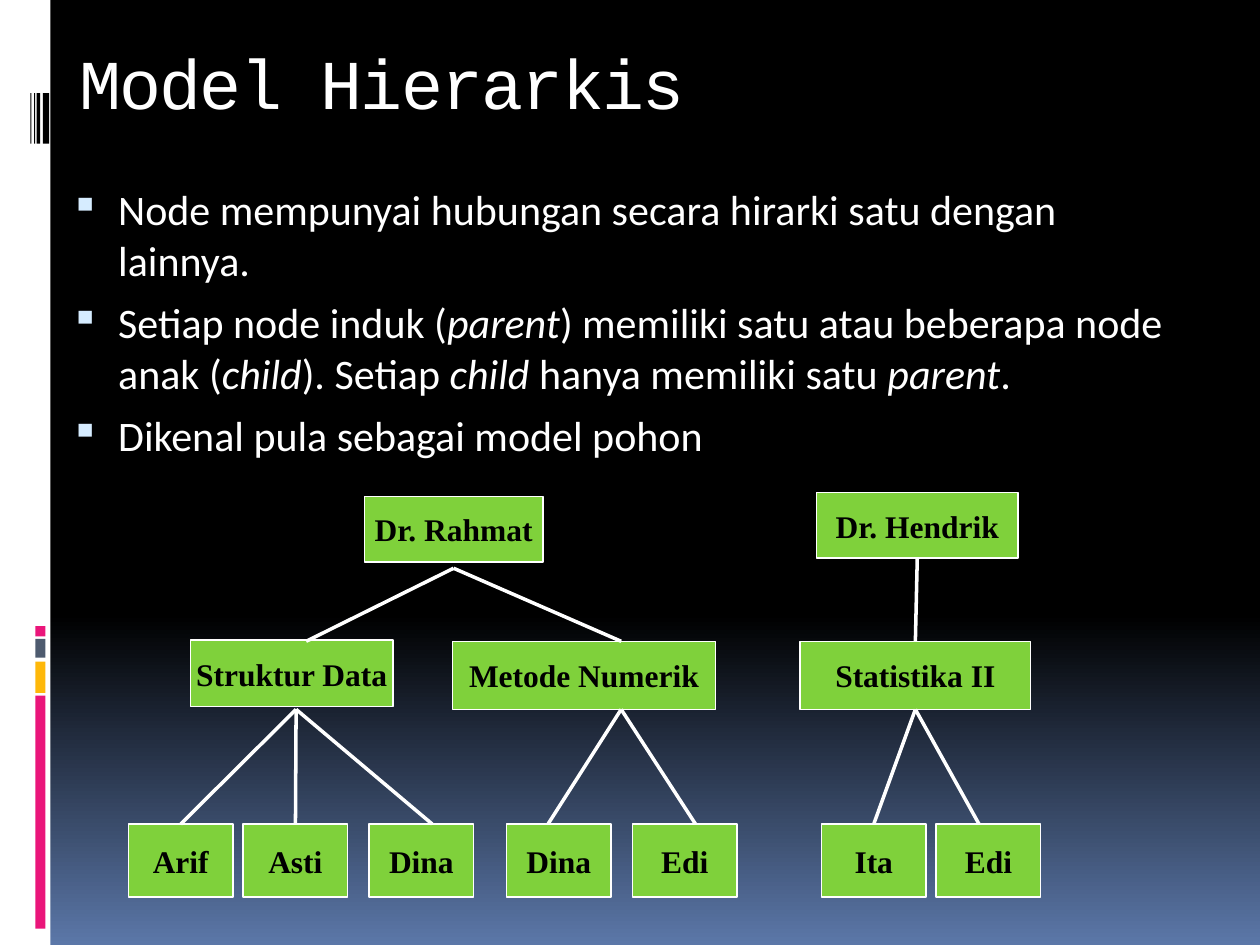
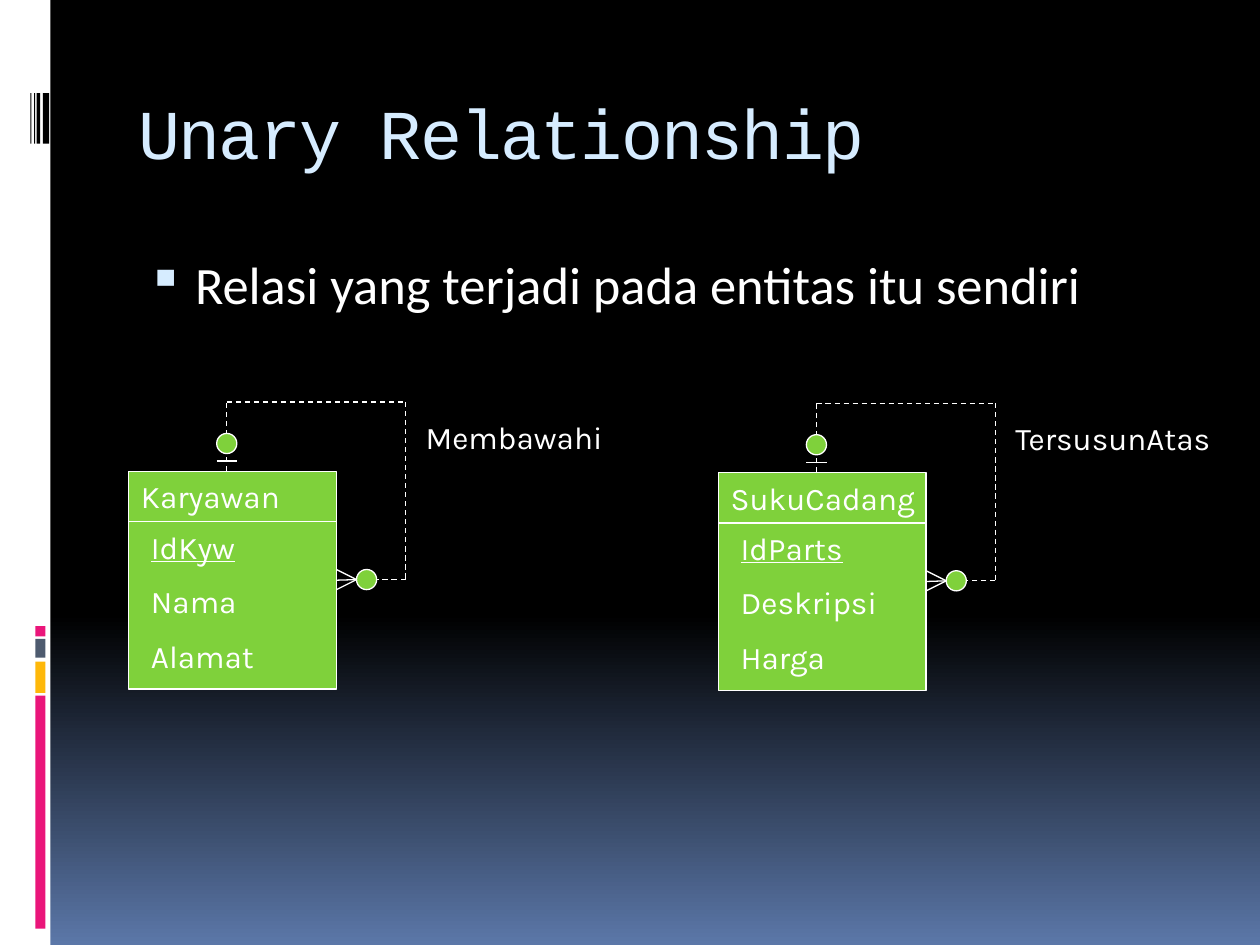
from math import dist

from lxml import etree
from pptx import Presentation
from pptx.dml.color import RGBColor
from pptx.enum.dml import MSO_LINE
from pptx.enum.shapes import MSO_CONNECTOR, MSO_SHAPE
from pptx.enum.text import MSO_ANCHOR, PP_ALIGN
from pptx.oxml.ns import qn
from pptx.util import Inches, Pt

RECTANGLE, OVAL = MSO_SHAPE.RECTANGLE, MSO_SHAPE.OVAL
STRAIGHT, DASH = MSO_CONNECTOR.STRAIGHT, MSO_LINE.DASH
TOP, MIDDLE = MSO_ANCHOR.TOP, MSO_ANCHOR.MIDDLE
LEFT, CENTER = PP_ALIGN.LEFT, PP_ALIGN.CENTER

WHITE, BLACK, ICE, GREEN = "FFFFFF", "000000", "D6ECFF", "7FD13B"
PINK, AMBER, SLATE, BLUE = "EA157A", "FEB80A", "4E5B6F", "5B77A8"
TITLE_FONT, BODY_FONT, NODE_FONT, ENTITY_FONT = (
    "Courier New", "Calibri", "Times New Roman", "Karla")

SIDE_BAND = [
    (0, 0, 0.4, 7.5, WHITE),
    (0.28, 5.52, 0.08, 1.85, PINK),
    (0.28, 5.25, 0.08, 0.25, AMBER),
    (0.28, 5.07, 0.08, 0.15, SLATE),
    (0.28, 4.97, 0.08, 0.08, PINK),
] + [(left, 0.74, width, 0.4, BLACK)
     for left, width in [(0.34, 0.05), (0.29, 0.03), (0.27, 0.01), (0.24, 0.01)]]

HIERARCHY_POINTS = [
    ["Node mempunyai hubungan secara hirarki satu dengan lainnya."],
    ["Setiap node induk (", ("parent", "i"), ") memiliki satu atau beberapa node anak (",
     ("child", "i"), "). Setiap ", ("child ", "i"), "hanya memiliki satu ",
     ("parent", "i"), "."],
    ["Dikenal pula sebagai model pohon"],
]
PARENTS = {
    "Dr. Rahmat": (2.89, 3.94, 1.42, 0.52),
    "Dr. Hendrik": (6.48, 3.91, 1.6, 0.52),
    "Struktur Data": (1.51, 5.08, 1.61, 0.53),
    "Metode Numerik": (3.59, 5.09, 2.09, 0.54),
    "Statistika II": (6.35, 5.09, 1.83, 0.54),
}
LEAF_TOP, LEAF_WIDTH, LEAF_HEIGHT = 6.54, 0.83, 0.58
LEAVES = [("Arif", 1.02), ("Asti", 1.93), ("Dina", 2.93), ("Dina", 4.02),
          ("Edi", 5.02), ("Ita", 6.52), ("Edi", 7.43)]
BRANCHES = [
    ((3.6, 4.51), 5.09, [2.43, 4.93]),
    ((7.27, 4.42), 5.09, [7.27]),
    ((7.27, 5.63), LEAF_TOP, [6.93, 7.77]),
    ((2.35, 5.63), LEAF_TOP, [2.35, 1.43, 3.43]),
    ((4.93, 5.63), LEAF_TOP, [4.35, 5.52]),
]

UNARY_POINTS = [["Relasi yang terjadi pada entitas itu sendiri"]]
ENTITIES = [
    (1.02, 3.74, "Karyawan", ["IdKyw", "Nama", "Alamat"], "Membawahi"),
    (5.7, 3.75, "SukuCadang", ["IdParts", "Deskripsi", "Harga"], "TersusunAtas"),
]
ENTITY_WIDTH, ENTITY_HEIGHT, HEADER_HEIGHT = 1.65, 1.73, 0.4
LOOP_LEFT, LOOP_RIGHT, LOOP_TOP, LOOP_FOOT = 0.78, 2.2, -0.55, 0.86
FOOT_TIP, RING_SIZE = 1.81, 0.16


def color(value):
    return RGBColor.from_string(value)


def write(shape, paragraphs, font=BODY_FONT, size=18, fill=WHITE, bold=False,
          align=LEFT, anchor=TOP, wrap=True, gap=0, spacing=0, bullet=False,
          inset_top=0.05):
    frame = shape.text_frame
    frame.word_wrap = wrap
    frame.vertical_anchor = anchor
    frame.margin_top = Inches(inset_top)
    for index, runs in enumerate(paragraphs):
        paragraph = frame.add_paragraph() if index else frame.paragraphs[0]
        paragraph.alignment = align
        paragraph.space_before = Pt(gap)
        if bullet:
            add_bullet(paragraph)
        for item in runs:
            text, style = (item, "") if isinstance(item, str) else item
            run = paragraph.add_run()
            run.text = text
            run.font.name, run.font.size = font, Pt(size)
            run.font.bold = bold
            run.font.italic = style == "i"
            run.font.underline = style == "u"
            run.font.color.rgb = color(fill)
            if spacing:
                run.font._element.set("spc", str(spacing * 100))


def add_bullet(paragraph):
    properties = paragraph._p.get_or_add_pPr()
    properties.set("marL", str(Inches(0.45)))
    properties.set("indent", str(Inches(-0.38)))
    bullet_color = etree.SubElement(properties, qn("a:buClr"))
    etree.SubElement(bullet_color, qn("a:srgbClr"), val=ICE)
    etree.SubElement(properties, qn("a:buSzPct"), val="95000")
    etree.SubElement(properties, qn("a:buChar"), char="▪")


def add_text(slide, box, paragraphs, **style):
    shape = slide.shapes.add_textbox(*map(Inches, box))
    write(shape, paragraphs, **style)
    return shape


def add_shape(slide, box, fill, kind=RECTANGLE, outlined=True):
    shape = slide.shapes.add_shape(kind, *map(Inches, box))
    shape.shadow.inherit = False
    shape.fill.solid()
    shape.fill.fore_color.rgb = color(fill)
    if outlined:
        shape.line.color.rgb = color(WHITE)
        shape.line.width = Pt(0.75)
    else:
        shape.line.fill.background()
    return shape


def side_middles(shape):
    left, top, width, height = shape.left, shape.top, shape.width, shape.height
    return [(left + width / 2, top), (left, top + height / 2),
            (left + width / 2, top + height), (left + width, top + height / 2)]


def add_line(slide, start, end, width=0.75, dash=None, boxes=()):
    ends = [tuple(map(Inches, point)) for point in (start, end)]
    connector = slide.shapes.add_connector(STRAIGHT, *ends[0], *ends[1])
    connector.line.color.rgb = color(WHITE)
    connector.line.width = Pt(width)
    if dash:
        connector.line.dash_style = dash
    etree.SubElement(connector._element.spPr, qn("a:effectLst"))
    for point, connect in zip(ends, (connector.begin_connect, connector.end_connect)):
        for box in boxes:
            for site, middle in enumerate(side_middles(box)):
                if dist(point, middle) < Inches(0.02):
                    connect(box, site)


def add_slide(presentation, title, title_box, title_color, points, body_box, body_size):
    slide = presentation.slides.add_slide(presentation.slide_layouts[6])
    background = slide.background.fill
    background.gradient()
    background.gradient_angle = 270
    for stop, position, value in zip(background.gradient_stops, (0.65, 1), (BLACK, BLUE)):
        stop.position = position
        stop.color.rgb = color(value)
    for *box, fill in SIDE_BAND:
        add_shape(slide, box, fill, outlined=False)
    add_text(slide, title_box, [[title]], font=TITLE_FONT, size=40, fill=title_color,
             spacing=-1, inset_top=0.15)
    add_text(slide, body_box, points, size=body_size, gap=7, bullet=True)
    return slide


def add_tree(slide):
    nodes = list(PARENTS.items()) + [
        (name, (left, LEAF_TOP, LEAF_WIDTH, LEAF_HEIGHT)) for name, left in LEAVES]
    boxes = []
    for name, box in nodes:
        node = add_shape(slide, box, GREEN)
        write(node, [[name]], font=NODE_FONT, fill=BLACK, bold=True,
              align=CENTER, anchor=MIDDLE, wrap=False)
        boxes.append(node)
    for start, bottom, child_centers in BRANCHES:
        for center in child_centers:
            add_line(slide, start, (center, bottom), width=2, boxes=boxes)


def add_entity(slide, left, top, name, attributes, relation):
    def at(x, y):
        return left + x, top + y

    def ring(x, y):
        add_shape(slide, (*at(x, y), RING_SIZE, RING_SIZE), GREEN, kind=OVAL)

    entity = add_shape(slide, (left, top, ENTITY_WIDTH, ENTITY_HEIGHT), GREEN)
    add_line(slide, at(0, HEADER_HEIGHT), at(ENTITY_WIDTH, HEADER_HEIGHT))
    loop = [(LOOP_LEFT, 0), (LOOP_LEFT, LOOP_TOP), (LOOP_RIGHT, LOOP_TOP),
            (LOOP_RIGHT, LOOP_FOOT), (1.89, LOOP_FOOT)]
    for start, end in zip(loop, loop[1:]):
        add_line(slide, at(*start), at(*end), dash=DASH)
    for spread in (-0.08, 0, 0.08):
        add_line(slide, at(FOOT_TIP, LOOP_FOOT), at(ENTITY_WIDTH, LOOP_FOOT + spread),
                 boxes=[entity])
    add_line(slide, at(LOOP_LEFT - 0.08, -0.08), at(LOOP_LEFT + 0.08, -0.08))
    ring(LOOP_LEFT - RING_SIZE / 2, -0.3)
    ring(FOOT_TIP, LOOP_FOOT - RING_SIZE / 2)

    key, *others = attributes
    rows = [[(key, "u")]] + [[other] for other in others]
    add_text(slide, (*at(0, 0), 2.28, 0.4), [[name]], font=ENTITY_FONT)
    add_text(slide, (*at(0.08, HEADER_HEIGHT), 1.34, 1.3), rows, font=ENTITY_FONT, gap=9.5)
    add_text(slide, (*at(2.26, -0.47), 1.93, 0.4), [[relation]], font=ENTITY_FONT)


def main():
    presentation = Presentation()
    presentation.slide_width, presentation.slide_height = Inches(10), Inches(7.5)
    hierarchy = add_slide(presentation, "Model Hierarkis", (0.53, 0.16, 9, 1.25), WHITE,
                          HIERARCHY_POINTS, (0.39, 1.41, 9, 4.95), 24)
    add_tree(hierarchy)
    unary = add_slide(presentation, "Unary Relationship", (1, 0.56, 8.5, 1), ICE,
                      UNARY_POINTS, (1, 1.95, 8.5, 5), 30)
    for entity in ENTITIES:
        add_entity(unary, *entity)
    presentation.save("out.pptx")


if __name__ == "__main__":
    main()
